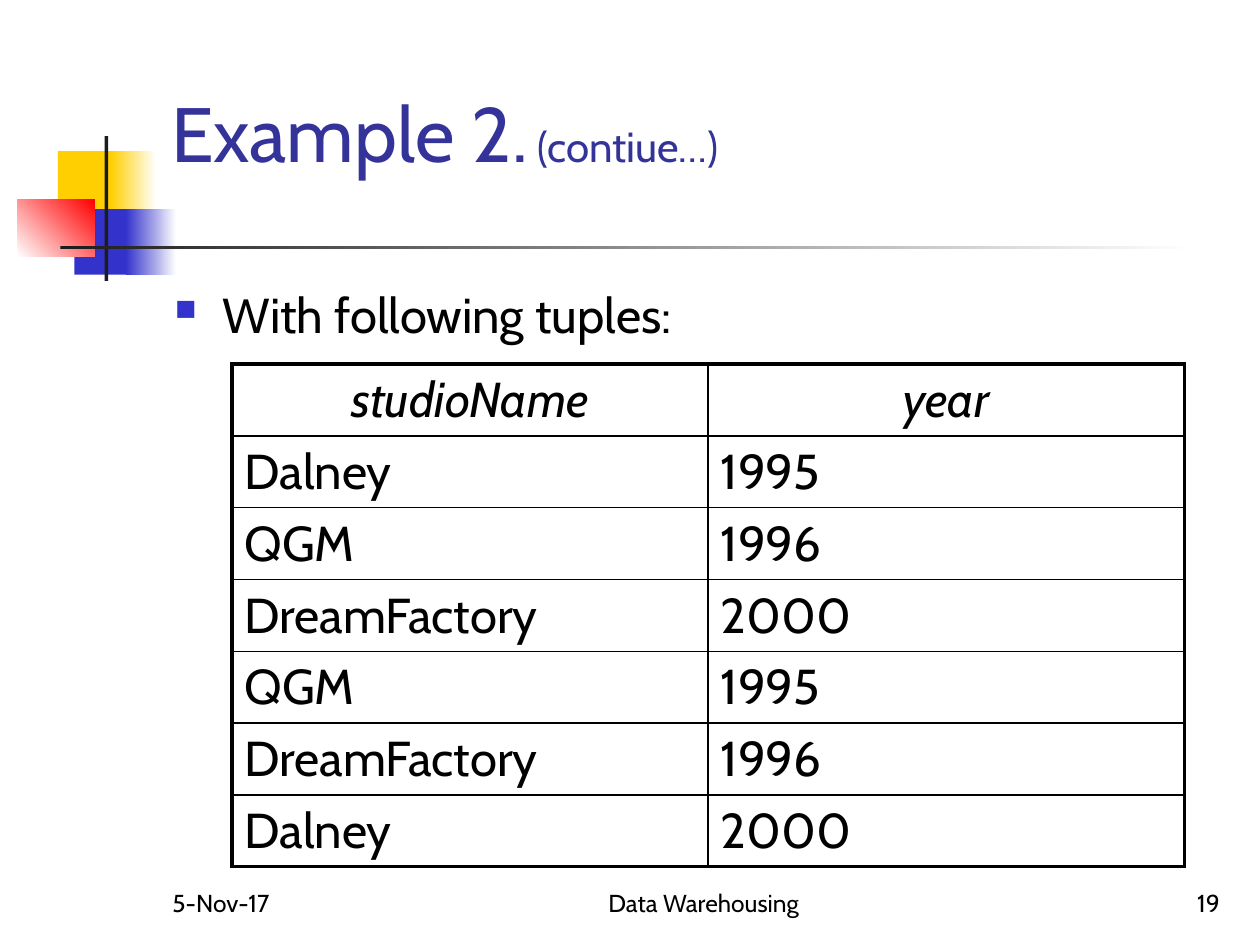
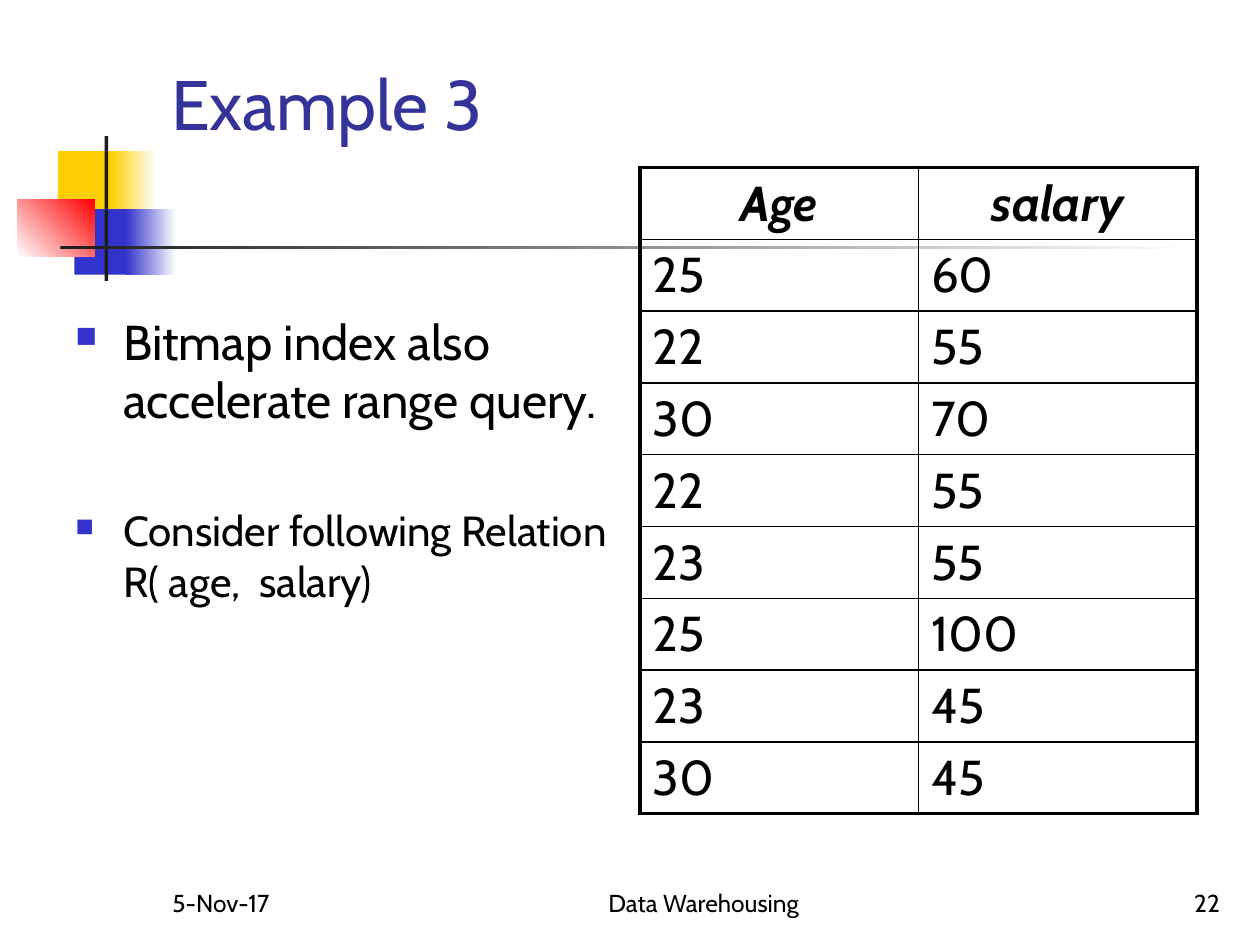
from lxml import etree
from pptx import Presentation
from pptx.dml.color import RGBColor
from pptx.enum.shapes import MSO_SHAPE
from pptx.enum.text import MSO_ANCHOR, PP_ALIGN
from pptx.oxml.ns import qn
from pptx.util import Inches, Pt

RECTANGLE = MSO_SHAPE.RECTANGLE
TOP, BOTTOM = MSO_ANCHOR.TOP, MSO_ANCHOR.BOTTOM
LEFT, CENTER, RIGHT = PP_ALIGN.LEFT, PP_ALIGN.CENTER, PP_ALIGN.RIGHT

FONT = "Cabin"
COLORS = {
    "title": "333399",
    "text": "000000",
    "blue": "3333CC",
    "yellow": "FFCF01",
    "red": "FF0000",
    "rule": "1C1C1C",
    "white": "FFFFFF",
}
# left, top, width, height, colours from start to end, gradient angle
MOTIF = [
    (0.46, 1.2, 0.48, 0.52, ["yellow"], 0),
    (0.88, 1.2, 0.36, 0.52, ["yellow", "white"], 0),
    (0.59, 1.66, 0.46, 0.52, ["blue"], 0),
    (1, 1.66, 0.4, 0.52, ["blue", "white"], 0),
    (0.14, 1.58, 0.61, 0.46, ["white", "red"], 45),
    (0.83, 1.08, 0.03, 1.15, ["rule"], 0),
    (0.48, 1.95, 9, 0.03, ["rule", "white"], 0),
]
ROW_HEIGHT = 0.57
THICK, THIN = 2.25, 1


def rgb(name):
    return RGBColor.from_string(COLORS[name])


def style(font, size, color="text"):
    font.name = FONT
    font.size = Pt(size)
    font.color.rgb = rgb(color)


def add_frame(slide, box, anchor=TOP):
    frame = slide.shapes.add_textbox(*map(Inches, box)).text_frame
    frame.word_wrap = True
    frame.vertical_anchor = anchor
    return frame


def add_motif(slide):
    """Draw the coloured squares and crossed rules beside the title."""
    for *box, colors, angle in MOTIF:
        block = slide.shapes.add_shape(RECTANGLE, *map(Inches, box))
        block.shadow.inherit = False
        block.line.fill.background()
        if len(colors) == 1:
            block.fill.solid()
            block.fill.fore_color.rgb = rgb(colors[0])
        else:
            block.fill.gradient()
            block.fill.gradient_angle = angle
            for stop, color in zip(block.fill.gradient_stops, colors):
                stop.color.rgb = rgb(color)


def add_footer(slide, number):
    entries = [
        (1.27, 2.08, "5-Nov-17", LEFT),
        (4, 3.17, "Data Warehousing", CENTER),
        (7.7, 2.08, str(number), RIGHT),
    ]
    for left, width, text, alignment in entries:
        paragraph = add_frame(slide, (left, 6.83, width, 0.5), BOTTOM).paragraphs[0]
        paragraph.text = text
        paragraph.alignment = alignment
        style(paragraph.font, 14)


def add_title(slide, bottom, parts):
    """Write (text, size) parts on one line that ends at bottom."""
    top = 0.23
    frame = add_frame(slide, (1.26, top, 8.52, bottom - top), BOTTOM)
    for text, size in parts:
        run = frame.paragraphs[0].add_run()
        run.text = text
        style(run.font, size, "title")


def add_bullets(slide, box, items, gap=0):
    frame = add_frame(slide, box)
    for index, (text, size) in enumerate(items):
        paragraph = frame.add_paragraph() if index else frame.paragraphs[0]
        paragraph.text = text
        if index:
            paragraph.space_before = Pt(gap)
        props = paragraph._p.get_or_add_pPr()
        props.set("marL", str(Inches(0.38)))
        props.set("indent", str(-Inches(0.38)))
        color = etree.SubElement(props, qn("a:buClr"))
        etree.SubElement(color, qn("a:srgbClr"), val=COLORS["blue"])
        etree.SubElement(props, qn("a:buSzPct"), val="60000")
        etree.SubElement(props, qn("a:buChar"), char="■")
        style(paragraph.font, size)


def set_borders(cell, widths):
    props = cell._tc.get_or_add_tcPr()
    for index, (side, width) in enumerate(widths.items()):
        line = etree.Element(qn(f"a:{side}"), w=str(Pt(width)))
        fill = etree.SubElement(line, qn("a:solidFill"))
        etree.SubElement(fill, qn("a:srgbClr"), val=COLORS["text"])
        props.insert(index, line)


def add_relation(slide, left, top, width, rows, bold_header=False):
    """Add a table with a thick frame, thin inner lines and an italic header."""
    last_row, last_column = len(rows) - 1, len(rows[0]) - 1
    table = slide.shapes.add_table(
        len(rows), len(rows[0]), Inches(left), Inches(top),
        Inches(width), Inches(ROW_HEIGHT * len(rows))).table
    table.first_row = table.horz_banding = False
    for r, values in enumerate(rows):
        for c, value in enumerate(values):
            cell = table.cell(r, c)
            cell.fill.background()
            set_borders(cell, {
                "lnL": THIN if c else THICK,
                "lnR": THICK if c == last_column else THIN,
                "lnT": THIN if r else THICK,
                "lnB": THICK if r == last_row else THIN,
            })
            paragraph = cell.text_frame.paragraphs[0]
            paragraph.text = value
            paragraph.alignment = LEFT if r else CENTER
            style(paragraph.font, 28)
            paragraph.font.italic = r == 0
            paragraph.font.bold = r == 0 and bold_header


def add_base_slide(deck, number):
    slide = deck.slides.add_slide(deck.slide_layouts[6])
    add_motif(slide)
    add_footer(slide, number)
    return slide


def build_studio_slide(deck):
    slide = add_base_slide(deck, 19)
    add_title(slide, 1.46, [("Example 2.", 44), (" (contiue…)", 24)])
    add_bullets(slide, (1.29, 2.21, 4.87, 0.53), [("With following tuples:", 28)])
    add_relation(slide, 1.84, 2.89, 7.56, [
        ("studioName", "year"),
        ("Dalney", "1995"),
        ("QGM", "1996"),
        ("DreamFactory", "2000"),
        ("QGM", "1995"),
        ("DreamFactory", "1996"),
        ("Dalney", "2000"),
    ])


def build_salary_slide(deck):
    slide = add_base_slide(deck, 22)
    add_title(slide, 1.2, [("Example 3", 40)])
    add_bullets(slide, (0.5, 2.42, 4.42, 4.28), [
        ("Bitmap index also accelerate range query.", 28),
        ("Consider following Relation R( age,  salary)", 24),
    ], gap=43.5)
    add_relation(slide, 5.08, 1.33, 4.42, [
        ("Age", "salary"),
        ("25", "60"),
        ("22", "55"),
        ("30", "70"),
        ("22", "55"),
        ("23", "55"),
        ("25", "100"),
        ("23", "45"),
        ("30", "45"),
    ], bold_header=True)


def main():
    deck = Presentation()
    deck.slide_width, deck.slide_height = Inches(10), Inches(7.5)
    build_studio_slide(deck)
    build_salary_slide(deck)
    deck.save("out.pptx")


if __name__ == "__main__":
    main()
